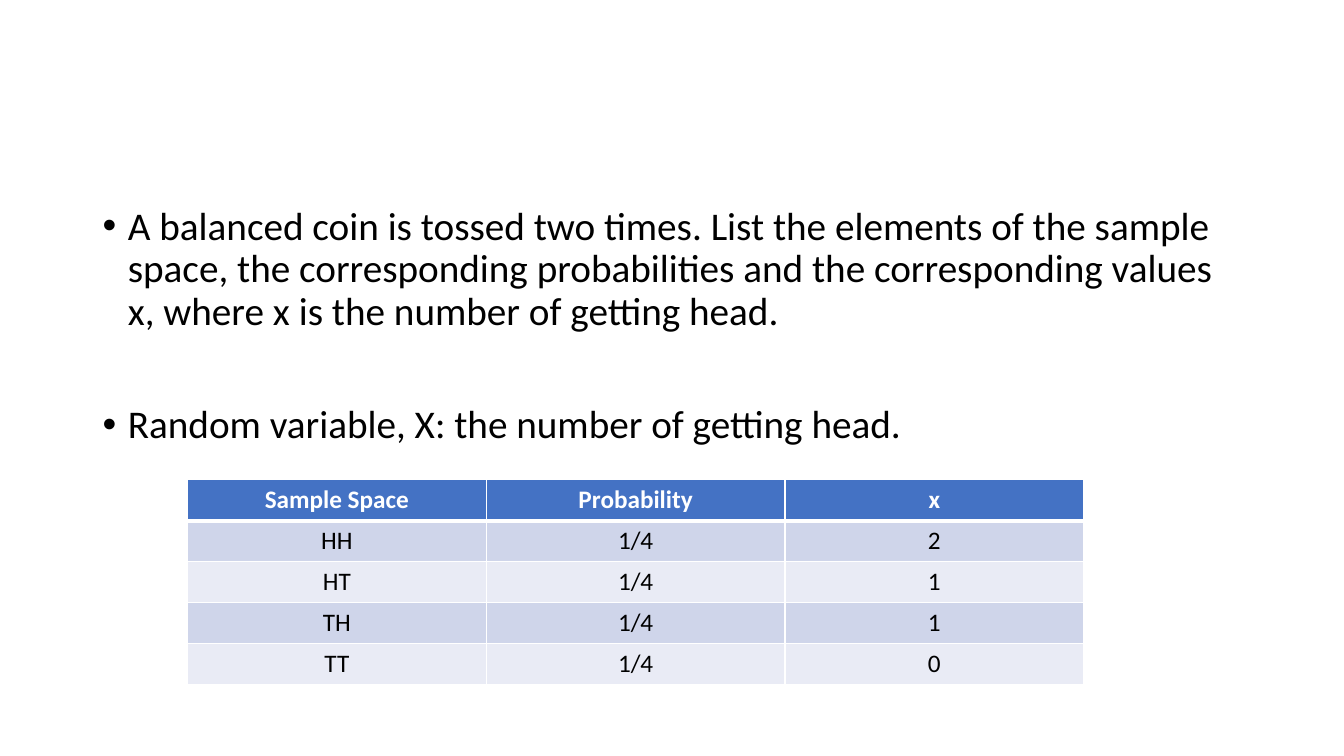
from lxml import etree
from pptx import Presentation
from pptx.dml.color import RGBColor
from pptx.enum import text
from pptx.oxml.ns import qn
from pptx.util import Inches, Pt

POINTS = [
    ("A balanced coin is tossed two times. List the elements of the sample "
     "space, the corresponding probabilities and the corresponding values x, "
     "where x is the number of getting head.", 10),
    ("Random variable, X: the number of getting head.", 51),
]
ROWS = [
    ("Sample Space", "Probability", "x"),
    ("HH", "1/4", "2"),
    ("HT", "1/4", "1"),
    ("TH", "1/4", "1"),
    ("TT", "1/4", "0"),
]
HEAD, BANDS = "4472C4", ("E9EBF5", "CFD5EA")


def color(code):
    return RGBColor.from_string(code)


def set_font(para, size, code, bold=False):
    font = para.font
    font.name, font.size, font.bold = "Calibri", Pt(size), bold
    font.color.rgb = color(code)


def add_bullet(para):
    props = para._p.get_or_add_pPr()
    props.set("marL", str(Inches(0.25)))
    props.set("indent", str(-Inches(0.25)))
    font = etree.Element(qn("a:buFont"), typeface="Arial")
    mark = etree.Element(qn("a:buChar"), char="•")
    # Bullet marks must come before the default run properties.
    props.find(qn("a:defRPr")).addprevious(font)
    font.addnext(mark)


def add_points(slide):
    box = slide.shapes.add_textbox(Inches(0.92), Inches(2), Inches(11.5), Inches(4.76))
    frame = box.text_frame
    frame.word_wrap = True
    for i, (words, gap) in enumerate(POINTS):
        para = frame.add_paragraph() if i else frame.paragraphs[0]
        para.text = words
        para.line_spacing = 0.9
        para.space_before = Pt(gap)
        set_font(para, 28, "000000")
        add_bullet(para)


def set_edges(cell, top, base):
    """Draw white cell borders; top and base are widths in points."""
    props = cell._tc.get_or_add_tcPr()
    for side, width in zip("LRTB", (1, 1, top, base)):
        line = etree.SubElement(props, qn(f"a:ln{side}"), w=str(Pt(width)))
        fill = etree.SubElement(line, qn("a:solidFill"))
        etree.SubElement(fill, qn("a:srgbClr"), val="FFFFFF")


def fill_cell(cell, words, row):
    head = row == 0
    set_edges(cell, 3 if row == 1 else 1, 3 if head else 1)
    cell.fill.solid()
    cell.fill.fore_color.rgb = color(HEAD if head else BANDS[row % 2])
    cell.text = words
    para = cell.text_frame.paragraphs[0]
    para.alignment = text.PP_ALIGN.CENTER
    set_font(para, 18, "FFFFFF" if head else "000000", head)


def add_grid(slide):
    frame = slide.shapes.add_table(len(ROWS), len(ROWS[0]), Inches(1.86),
                                   Inches(4.76), Inches(8.89), Inches(2.03))
    for r, row in enumerate(ROWS):
        for c, words in enumerate(row):
            fill_cell(frame.table.cell(r, c), words, r)


def main():
    deck = Presentation()
    deck.slide_width, deck.slide_height = Inches(13.33), Inches(7.5)
    slide = deck.slides.add_slide(deck.slide_layouts[6])
    add_points(slide)
    add_grid(slide)
    deck.save("out.pptx")


if __name__ == "__main__":
    main()
